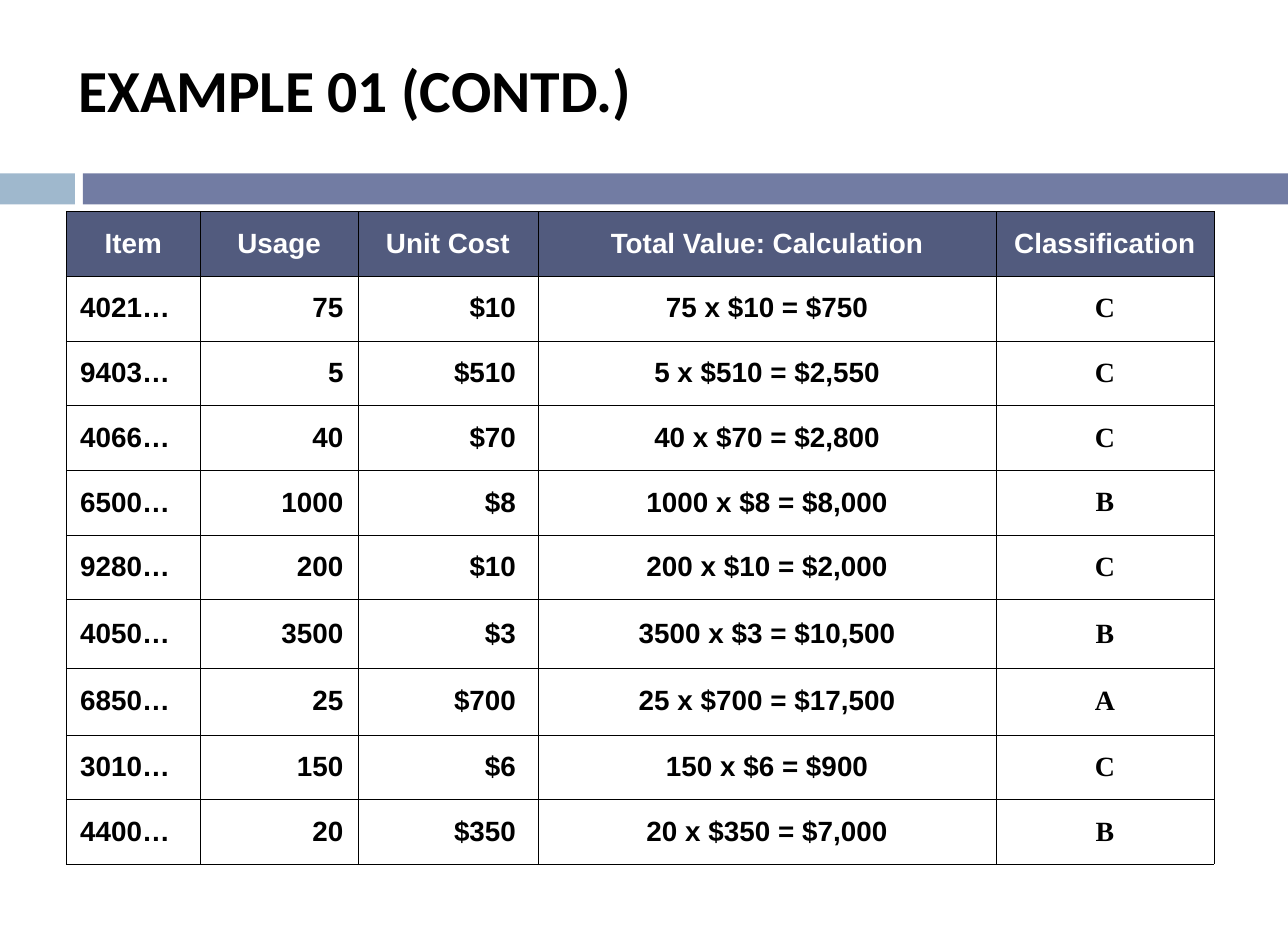
from lxml import etree
from pptx import Presentation
from pptx.dml.color import RGBColor
from pptx.enum.shapes import MSO_SHAPE
from pptx.enum.text import MSO_ANCHOR, PP_ALIGN
from pptx.oxml.ns import qn
from pptx.util import Cm, Pt

RECTANGLE = MSO_SHAPE.RECTANGLE
MIDDLE = MSO_ANCHOR.MIDDLE
LEFT, CENTER, RIGHT = PP_ALIGN.LEFT, PP_ALIGN.CENTER, PP_ALIGN.RIGHT

BLACK = RGBColor(0x00, 0x00, 0x00)
WHITE = RGBColor(0xFF, 0xFF, 0xFF)
PALE_BLUE = RGBColor(0x9F, 0xB8, 0xCD)
SLATE = RGBColor(0x72, 0x7C, 0xA3)
HEADER_SLATE = RGBColor(0x52, 0x5B, 0x7E)

TITLE_FORMAT = {"name": "Calibri", "size": Pt(30), "bold": True}
CELL_FORMAT = {"name": "Arial", "size": Pt(14), "bold": True}
CLASS_FORMAT = {**CELL_FORMAT, "name": "Times New Roman"}

HEADERS = ["Item", "Usage", "Unit Cost", "Total Value: Calculation", "Classification"]
ITEMS = [
    ("4021…", 75, 10, "C"),
    ("9403…", 5, 510, "C"),
    ("4066…", 40, 70, "C"),
    ("6500…", 1000, 8, "B"),
    ("9280…", 200, 10, "C"),
    ("4050…", 3500, 3, "B"),
    ("6850…", 25, 700, "A"),
    ("3010…", 150, 6, "C"),
    ("4400…", 20, 350, "B"),
]
COLUMN_WIDTHS = [2.39, 2.79, 3.2, 8.13, 3.86]
ROW_HEIGHTS = [1.15] * 6 + [1.21, 1.19] + [1.15] * 2
COLUMN_ALIGNMENTS = [LEFT, RIGHT, RIGHT, CENTER, CENTER]
COLUMN_FORMATS = [CELL_FORMAT] * 4 + [CLASS_FORMAT]
THIN, THICK = Pt(0.06), Pt(0.45)
THICK_EDGES = {(0, "R"), (1, "L"), (3, "R"), (4, "L")}


def write(para, text, values, color, alignment):
    """Put one formatted span of text into a paragraph."""
    para.alignment = alignment
    span = para.add_run()
    span.text = text
    for name, value in values.items():
        setattr(span.font, name, value)
    span.font.color.rgb = color


def add_title(page, left, top, width, height):
    """Place the slide title in its box."""
    box = page.shapes.add_textbox(Cm(left), Cm(top), Cm(width), Cm(height))
    box.text_frame.word_wrap = True
    box.text_frame.vertical_anchor = MIDDLE
    write(box.text_frame.paragraphs[0], "EXAMPLE 01 (CONTD.)", TITLE_FORMAT, BLACK, LEFT)


def add_band(page, left, top, width, height):
    """Place the two-part divider across the given strip."""
    short, gap = 1.33, 0.14
    offset = short + gap
    for start, length, color in ((0, short, PALE_BLUE), (offset, width - offset, SLATE)):
        bar = page.shapes.add_shape(
            RECTANGLE, Cm(left + start), Cm(top), Cm(length), Cm(height))
        bar.shadow.inherit = False
        bar.fill.solid()
        bar.fill.fore_color.rgb = color
        bar.line.fill.background()


def add_borders(cell, column):
    """Draw black lines on the four edges of a cell."""
    properties = cell._tc.get_or_add_tcPr()
    for edge in "LRTB":
        weight = THICK if (column, edge) in THICK_EDGES else THIN
        line = etree.SubElement(properties, qn(f"a:ln{edge}"), w=str(int(weight)))
        fill = etree.SubElement(line, qn("a:solidFill"))
        etree.SubElement(fill, qn("a:srgbClr"), val=str(BLACK))


def fill_cell(cell, column, text, is_header):
    """Write and style one table cell."""
    add_borders(cell, column)
    cell.vertical_anchor = MIDDLE
    para = cell.text_frame.paragraphs[0]
    if is_header:
        cell.fill.solid()
        cell.fill.fore_color.rgb = HEADER_SLATE
        write(para, text, CELL_FORMAT, WHITE, CENTER)
    else:
        cell.fill.background()
        write(para, text, COLUMN_FORMATS[column], BLACK, COLUMN_ALIGNMENTS[column])


def add_item_table(page, left, top):
    """Place the item table with each total worked out from usage and cost."""
    rows = [HEADERS] + [
        [item, str(usage), f"${cost} ", f"{usage} x ${cost} = ${usage * cost:,}", grade]
        for item, usage, cost, grade in ITEMS
    ]
    table = page.shapes.add_table(
        len(rows), len(HEADERS), Cm(left), Cm(top),
        Cm(sum(COLUMN_WIDTHS)), Cm(sum(ROW_HEIGHTS))).table
    table.first_row = table.horz_banding = False
    for column, width in zip(table.columns, COLUMN_WIDTHS):
        column.width = Cm(width)
    for row, height in zip(table.rows, ROW_HEIGHTS):
        row.height = Cm(height)
    for row_index, row in enumerate(rows):
        for column_index, text in enumerate(row):
            fill_cell(table.cell(row_index, column_index), column_index, text, row_index == 0)


def main():
    """Build the slide and save the deck."""
    deck = Presentation()
    deck.slide_width, deck.slide_height = Cm(22.86), Cm(16.51)
    page = deck.slides.add_slide(deck.slide_layouts[6])
    add_band(page, 0, 3.08, 22.86, 0.55)
    add_item_table(page, 1.17, 3.75)
    add_title(page, 1.14, 0.71, 20.35, 1.73)
    deck.save("out.pptx")


if __name__ == "__main__":
    main()
